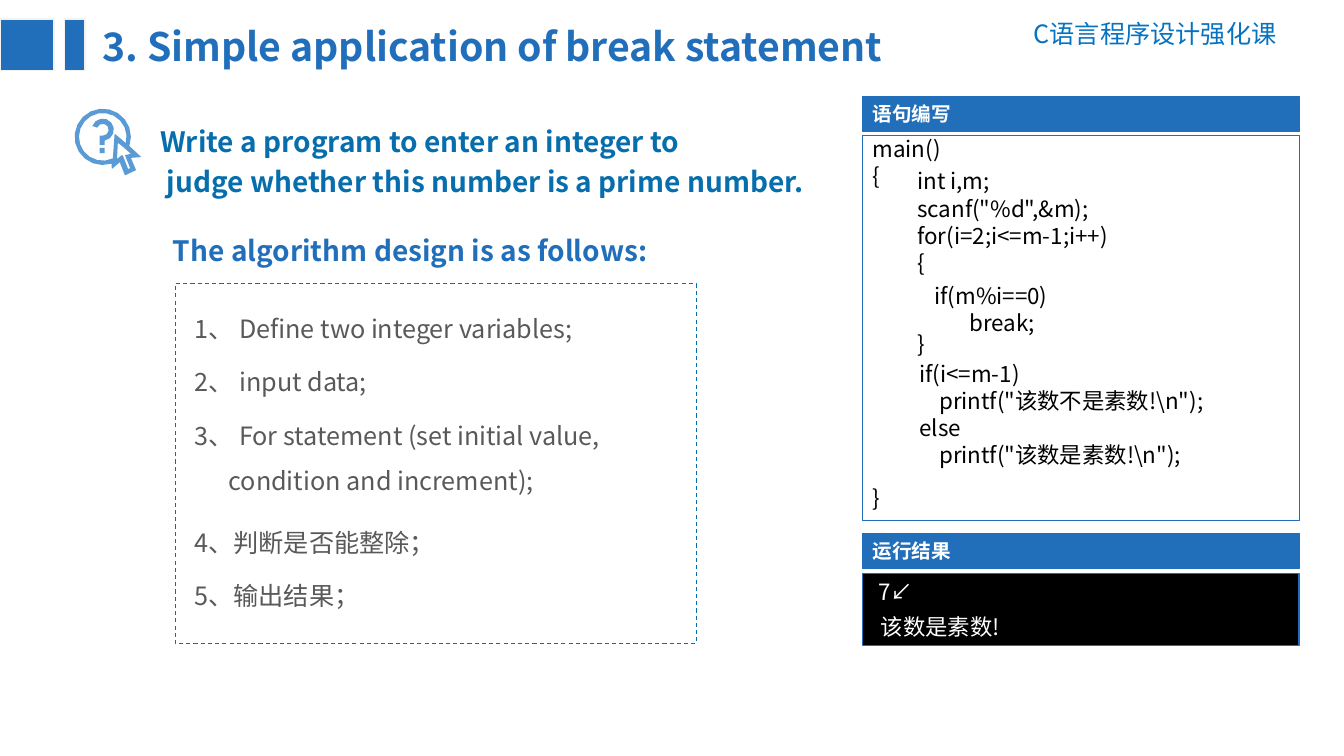
import math

import pptx
import pptx.dml.color
import pptx.enum.dml
import pptx.enum.shapes
import pptx.enum.text
import pptx.util
from lxml import etree

Cm = pptx.util.Cm
Pt = pptx.util.Pt
RGBColor = pptx.dml.color.RGBColor
ALIGN = pptx.enum.text.PP_ALIGN

FONT = "Noto Sans CJK SC"
BLUE = RGBColor(0x21, 0x6F, 0xBA)
DEEP_BLUE = RGBColor(0x07, 0x6E, 0xAD)
COURSE_BLUE = RGBColor(0x05, 0x73, 0xC2)
ICON_BLUE = RGBColor(0x5B, 0x9B, 0xD5)
PALE = RGBColor(0xF2, 0xF2, 0xF2)
GREY = RGBColor(0x59, 0x59, 0x59)
BLACK = RGBColor(0, 0, 0)
WHITE = RGBColor(255, 255, 255)

TITLE = "3. Simple application of break statement"
COURSE = "C语言程序设计强化课"
TASK = ["Write a program to enter an integer to",
        " judge whether this number is a prime number."]
DESIGN = "The algorithm design is as follows:"
STEPS = [
    ["1、 Define two integer variables;"],
    ["2、 input data;"],
    ["3、 For statement (set initial value,", ("condition and increment);", 0.86, 0)],
    ["4、判断是否能整除；"],
    ["5、输出结果；"],
]
CODE = [
    (21.74, 3.28, 8.92, 9.83, ["main()", "{", ("}", 0, 211)]),
    (22.87, 4.09, 7.8, 0.93, ["int i,m;"]),
    (22.87, 4.8, 7.8, 0.93, ['scanf("%d",&m);']),
    (22.87, 5.48, 7.8, 3.68, ["for(i=2;i<=m-1;i++)", "{", ("}", 0, 38.5)]),
    (22.92, 8.95, 7.8, 2.97, ["if(i<=m-1)", ('printf("该数不是素数!\\n");', 0.5, 0),
                              "else", ('printf("该数是素数!\\n");', 0.5, 0)]),
    (23.3, 6.98, 7.8, 1.62, ["if(m%i==0)", ("break;", 0.88, 0)]),
]
RESULTS = [(21.89, 14.45, "7↙"), (21.95, 15.32, "该数是素数!")]
PANELS = [
    ("运行结果", 13.44, 14.45, 1.81, BLACK, 1),
    ("语句编写", 2.43, 3.41, 9.7, None, 0.75),
]
PANEL_LEFT, PANEL_WIDTH, HEADER_HEIGHT = 21.74, 11, 0.89
STEP_TOP, STEP_PITCH = 7.38, 1.35

ICON_CENTRE = (2.59, 3.45)
POINTER_EDGE = [(0.97, 0.51), (0.71, 0.53), (0.84, 0.84), (0.56, 0.97),
                (0.43, 0.64), (0.23, 0.81)]
POINTER_TIP = [(0.3, -0.08)]
POINTER_HOLE = [(0.38, 0.15), (0.36, 0.56), (0.48, 0.46), (0.51, 0.48), (0.64, 0.81),
                (0.69, 0.79), (0.56, 0.46), (0.71, 0.43), (0.51, 0.25)]
QUESTION_STEM = [(0.05, 0.2), (-0.08, 0.2), (-0.08, -0.03)]
QUESTION_DOT = [(-0.08, 0.28), (0.05, 0.28), (0.05, 0.41), (-0.08, 0.41)]


def arc(radius, start, end, pieces, centre_y=0):
    angles = [math.radians(start + (end - start) * i / pieces) for i in range(pieces + 1)]
    return [(radius * math.cos(a), centre_y + radius * math.sin(a)) for a in angles]


def write(frame, lines, size=16, color=BLACK, bold=False, spacing=1.0, align=ALIGN.LEFT):
    frame.word_wrap = True
    frame.vertical_anchor = pptx.enum.text.MSO_ANCHOR.TOP
    for number, line in enumerate(lines):
        text, indent, gap = line if isinstance(line, tuple) else (line, 0, 0)
        paragraph = frame.paragraphs[0] if number == 0 else frame.add_paragraph()
        paragraph.alignment = align
        paragraph.line_spacing = spacing
        paragraph.space_before = Pt(gap)
        if indent:
            properties = paragraph._p.get_or_add_pPr()
            properties.set("marL", "0")
            properties.set("indent", str(Cm(indent)))
        run = paragraph.add_run()
        run.text = text
        run.font.size = Pt(size)
        run.font.bold = bold
        run.font.color.rgb = color
        run.font.name = FONT
        east_asian = etree.SubElement(run._r.get_or_add_rPr(), pptx.oxml.ns.qn("a:ea"))
        east_asian.set("typeface", FONT)


def add_text(slide, left, top, width, height, lines, **style):
    box = slide.shapes.add_textbox(Cm(left), Cm(top), Cm(width), Cm(height))
    write(box.text_frame, lines, **style)


def add_box(slide, left, top, width, height, fill, line, weight):
    box = slide.shapes.add_shape(pptx.enum.shapes.MSO_SHAPE.RECTANGLE,
                                 Cm(left), Cm(top), Cm(width), Cm(height))
    box.shadow.inherit = False
    if fill is None:
        box.fill.background()
    else:
        box.fill.solid()
        box.fill.fore_color.rgb = fill
    box.line.color.rgb = line
    box.line.width = Pt(weight)
    return box


def add_icon(slide):
    contours = [
        arc(0.71, 72, 379, 16) + POINTER_EDGE,
        arc(0.6, 65, 375, 16) + POINTER_TIP,
        POINTER_HOLE,
        arc(0.28, 200, 440, 8, -0.18) + QUESTION_STEM + arc(0.15, 450, 200, 6, -0.18),
        QUESTION_DOT,
    ]
    builder = None
    for contour in contours:
        points = [(Cm(ICON_CENTRE[0] + x), Cm(ICON_CENTRE[1] + y)) for x, y in contour]
        if builder is None:
            builder = slide.shapes.build_freeform(*points[0])
        else:
            builder.move_to(*points[0])
        builder.add_line_segments(points[1:], close=True)
    icon = builder.convert_to_shape()
    icon.shadow.inherit = False
    icon.fill.solid()
    icon.fill.fore_color.rgb = ICON_BLUE
    icon.line.fill.background()


def main():
    deck = pptx.Presentation()
    deck.slide_width, deck.slide_height = Cm(33.87), Cm(19.05)
    slide = deck.slides.add_slide(deck.slide_layouts[5])

    title = slide.shapes.title
    title.left, title.top, title.width, title.height = Cm(2.33), Cm(0.43), Cm(24.18), Cm(1.45)
    write(title.text_frame, [TITLE], size=28, color=BLUE, bold=True)
    add_text(slide, 24.8, 0.34, 7.62, 1.02, [COURSE], size=18, color=COURSE_BLUE,
             align=ALIGN.RIGHT)
    for left, width in [(0, 1.36), (1.63, 0.51)]:
        add_box(slide, left, 0.48, width, 1.3, BLUE, PALE, 1)

    add_icon(slide)
    add_text(slide, 3.79, 2.84, 30, 2.21, TASK, size=20, color=DEEP_BLUE, bold=True, spacing=1.2)
    add_text(slide, 4.11, 5.59, 13.79, 1.19, [DESIGN], size=20, color=BLUE, bold=True, spacing=1.2)

    frame = add_box(slide, 4.42, 7.15, 13.13, 9.07, None, DEEP_BLUE, 0.75)
    frame.line.dash_style = pptx.enum.dml.MSO_LINE.DASH
    row = 0
    for step in STEPS:
        width = 13.31 if len(step) == 1 else 20.45
        add_text(slide, 4.65, STEP_TOP + row * STEP_PITCH, width, 1.27 * len(step), step,
                 size=18, color=GREY, spacing=1.5)
        row += len(step)

    for heading, header_top, body_top, body_height, fill, weight in PANELS:
        add_box(slide, PANEL_LEFT, header_top, PANEL_WIDTH, HEADER_HEIGHT, BLUE, BLUE, 0.75)
        add_box(slide, PANEL_LEFT, body_top, PANEL_WIDTH, body_height, fill, BLUE, weight)
        add_text(slide, PANEL_LEFT, header_top + 0.02, 2.54, 0.84, [heading], size=14,
                 color=WHITE, bold=True)
    for left, top, width, height, lines in CODE:
        add_text(slide, left, top, width, height, lines)
    for left, top, result in RESULTS:
        add_text(slide, left, top, 5.79, 0.93, [result], color=WHITE)

    deck.save("out.pptx")


if __name__ == "__main__":
    main()
